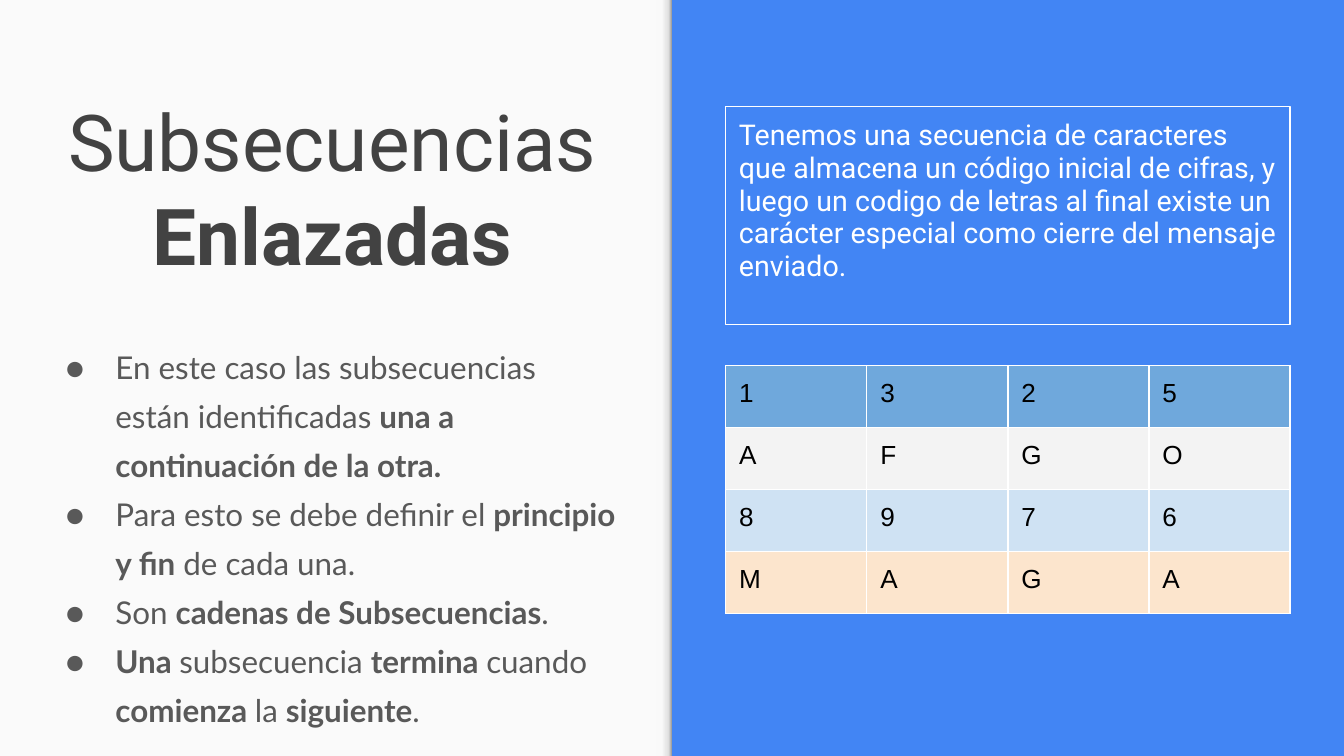
"""Build the slide on linked subsequences."""
from dataclasses import dataclass

from lxml import etree
from pptx import Presentation
from pptx.dml.color import RGBColor
from pptx.enum import shapes, text
from pptx.oxml import ns, parse_xml
from pptx.util import Pt

WHITE = "FFFFFF"
BLUE = "4285F4"
PAPER = "FAFAFA"
TITLE_GREY = "424242"
TEXT_GREY = "595959"
WIDTH, HEIGHT = 720, 405
INSET = 7.2
EDGE = 0.75


@dataclass(frozen=True)
class Box:
    left: float
    top: float
    width: float
    height: float

    def lengths(self) -> tuple:
        return Pt(self.left), Pt(self.top), Pt(self.width), Pt(self.height)


@dataclass(frozen=True)
class Style:
    font: str
    size: float
    color: str


@dataclass(frozen=True)
class Row:
    values: str
    fill: str


@dataclass(frozen=True)
class Run:
    words: str
    bold: bool = False


TITLE_STYLE = Style("Roboto", 42, TITLE_GREY)
BULLET_STYLE = Style("Lato", 16.8, TEXT_GREY)
MESSAGE_STYLE = Style("Roboto", 15.3, WHITE)
CELL_STYLE = Style("Arial", 14, "000000")

TITLE = [Run("Subsecuencias "), Run("Enlazadas", True)]
BULLETS = [
    [Run("En este caso las subsecuencias están identificadas "),
     Run("una a continuación de la otra.", True)],
    [Run("Para esto se debe definir el "), Run("principio y fin", True), Run(" de cada una.")],
    [Run("Son "), Run("cadenas de Subsecuencias", True), Run(".")],
    [Run("Una ", True), Run("subsecuencia "), Run("termina ", True), Run("cuando "),
     Run("comienza ", True), Run("la "), Run("siguiente", True), Run(".")],
]
MESSAGE = [Run("Tenemos una secuencia de caracteres que almacena un código inicial de cifras, "
               "y luego un codigo de letras al final existe un carácter especial como cierre "
               "del mensaje enviado.")]
ROWS = [Row("1325", "6FA8DC"), Row("AFGO", "F3F3F3"),
        Row("8976", "CFE2F3"), Row("MAGA", "FCE5CD")]
SHADE_STOPS = [(0, "F9F9F9"), (36, "F9F9F9"), (80, "DEDEDE"), (100, "999999")]


def rgb(color: str) -> RGBColor:
    return RGBColor.from_string(color)


def color_xml(color: str) -> str:
    return f'<a:srgbClr val="{color}"/>'


def add_runs(paragraph, runs: list[Run], style: Style) -> None:
    for item in runs:
        run = paragraph.add_run()
        run.text = item.words
        run.font.name = style.font
        run.font.size = Pt(style.size)
        run.font.bold = item.bold
        run.font.color.rgb = rgb(style.color)


def prepare_frame(frame, anchor) -> None:
    frame.word_wrap = True
    frame.auto_size = text.MSO_AUTO_SIZE.NONE
    frame.vertical_anchor = anchor
    frame.margin_left = frame.margin_right = Pt(INSET)
    frame.margin_top = frame.margin_bottom = Pt(INSET)


def add_panel(slide, box: Box, color: str):
    shape = slide.shapes.add_shape(shapes.MSO_SHAPE.RECTANGLE, *box.lengths())
    shape.shadow.inherit = False
    shape.fill.solid()
    shape.fill.fore_color.rgb = rgb(color)
    shape.line.fill.background()
    return shape


def add_shade(slide, box: Box) -> None:
    shape = add_panel(slide, box, PAPER)
    stops = "".join(f'<a:gs pos="{position * 1000}">{color_xml(color)}</a:gs>'
                    for position, color in SHADE_STOPS)
    gradient = parse_xml(f'<a:gradFill {ns.nsdecls("a")} rotWithShape="1">'
                         f'<a:gsLst>{stops}</a:gsLst><a:lin ang="0" scaled="0"/></a:gradFill>')
    properties = shape._element.spPr
    properties.replace(properties.find(ns.qn("a:solidFill")), gradient)


def fill_title(slide, box: Box) -> None:
    title = slide.shapes.title
    title.left, title.top, title.width, title.height = box.lengths()
    prepare_frame(title.text_frame, text.MSO_ANCHOR.BOTTOM)
    paragraph = title.text_frame.paragraphs[0]
    paragraph.alignment = text.PP_ALIGN.CENTER
    add_runs(paragraph, TITLE, TITLE_STYLE)
    slide.shapes._spTree.append(title._element)


def add_bullets(slide, box: Box) -> None:
    frame = slide.shapes.add_textbox(*box.lengths()).text_frame
    prepare_frame(frame, text.MSO_ANCHOR.TOP)
    for index, runs in enumerate(BULLETS):
        paragraph = frame.add_paragraph() if index else frame.paragraphs[0]
        properties = paragraph._p.get_or_add_pPr()
        properties.set("marL", str(Pt(36)))
        properties.set("indent", str(Pt(-26.64)))
        color = etree.SubElement(properties, ns.qn("a:buClr"))
        etree.SubElement(color, ns.qn("a:srgbClr"), val=TEXT_GREY)
        etree.SubElement(properties, ns.qn("a:buFont"), typeface=BULLET_STYLE.font)
        etree.SubElement(properties, ns.qn("a:buChar"), char="●")
        paragraph.line_spacing = 1.3
        add_runs(paragraph, runs, BULLET_STYLE)


def add_message(slide, box: Box) -> None:
    shape = slide.shapes.add_textbox(*box.lengths())
    shape.line.color.rgb = rgb(WHITE)
    shape.line.width = Pt(EDGE)
    prepare_frame(shape.text_frame, text.MSO_ANCHOR.TOP)
    paragraph = shape.text_frame.paragraphs[0]
    paragraph.line_spacing = 0.95
    paragraph.space_after = Pt(12)
    add_runs(paragraph, MESSAGE, MESSAGE_STYLE)


def format_cell(cell, value: str, fill: str) -> None:
    cell.margin_left = cell.margin_right = Pt(INSET)
    cell.margin_top = cell.margin_bottom = Pt(INSET)
    cell.fill.solid()
    cell.fill.fore_color.rgb = rgb(fill)
    add_runs(cell.text_frame.paragraphs[0], [Run(value)], CELL_STYLE)
    properties = cell._tc.get_or_add_tcPr()
    for index, side in enumerate(("lnL", "lnR", "lnT", "lnB")):
        properties.insert(index, parse_xml(
            f'<a:{side} {ns.nsdecls("a")} w="{Pt(EDGE)}">'
            f'<a:solidFill>{color_xml(WHITE)}</a:solidFill></a:{side}>'))


def add_code_table(slide, box: Box) -> None:
    table = slide.shapes.add_table(len(ROWS), len(ROWS[0].values), *box.lengths()).table
    table.first_row = table.horz_banding = False
    for row_index, row in enumerate(ROWS):
        for column_index, value in enumerate(row.values):
            format_cell(table.cell(row_index, column_index), value, row.fill)


def main() -> None:
    presentation = Presentation()
    presentation.slide_width, presentation.slide_height = Pt(WIDTH), Pt(HEIGHT)
    slide = presentation.slides.add_slide(presentation.slide_layouts.get_by_name("Title Only"))
    slide.background.fill.solid()
    slide.background.fill.fore_color.rgb = rgb(BLUE)
    add_panel(slide, Box(0, 0, WIDTH / 2, HEIGHT), PAPER)
    add_shade(slide, Box(351.4, 0, 8.6, HEIGHT))
    fill_title(slide, Box(18.8, 41, 318.5, 116.7))
    add_bullets(slide, Box(18.8, 173.5, 318.5, 224.6))
    add_message(slide, Box(388.8, 57, 302.4, 116.7))
    add_code_table(slide, Box(388.8, 195.8, 302.4, 132.8))
    presentation.save("out.pptx")


if __name__ == "__main__":
    main()
